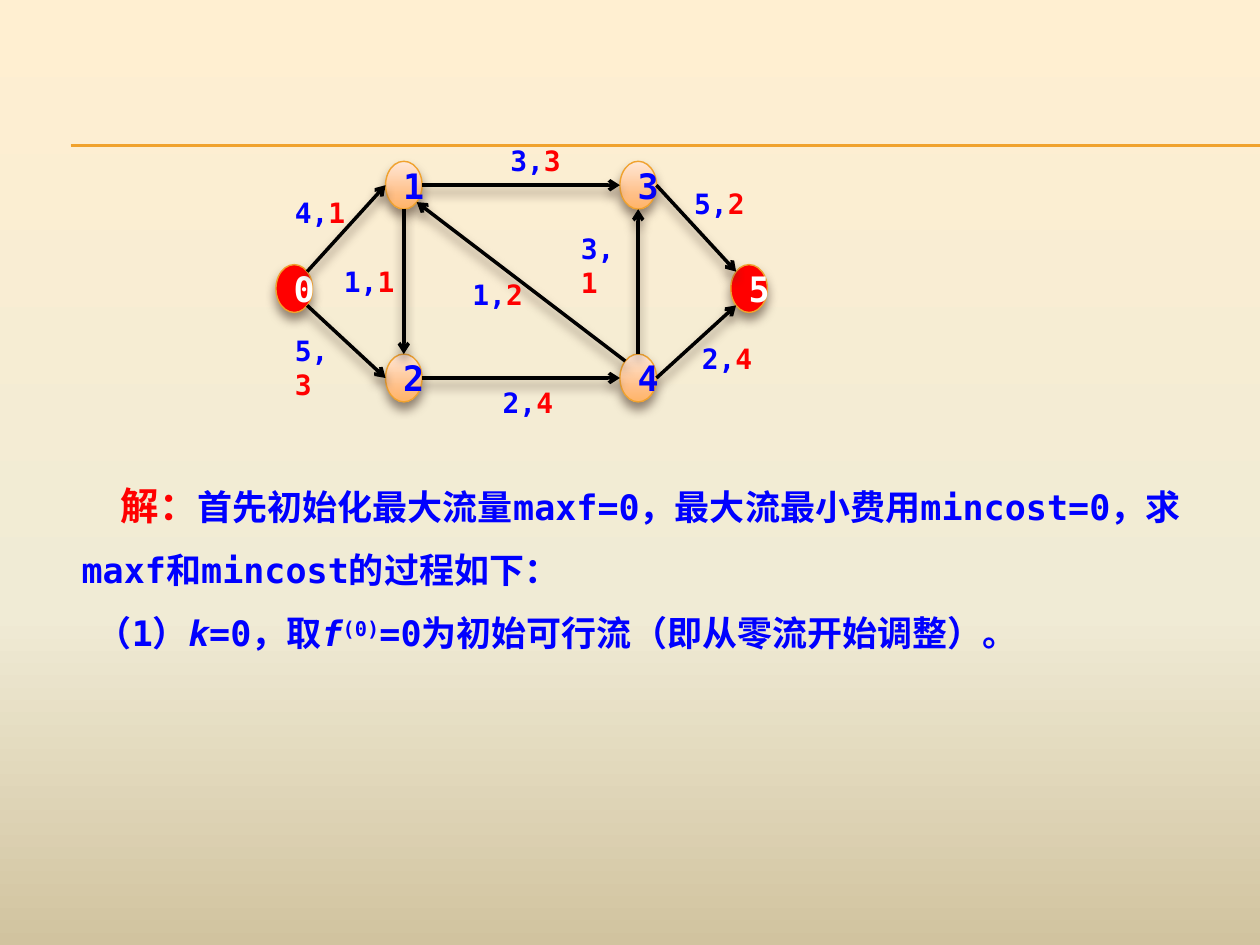
from copy import deepcopy
from dataclasses import dataclass
from math import sqrt

from lxml.etree import SubElement
from pptx import Presentation
from pptx.dml.color import RGBColor
from pptx.enum.lang import MSO_LANGUAGE_ID
from pptx.enum.shapes import MSO_CONNECTOR, MSO_SHAPE
from pptx.enum.text import MSO_ANCHOR, MSO_AUTO_SIZE, PP_ALIGN
from pptx.oxml.ns import qn
from pptx.util import Inches, Pt


@dataclass(frozen=True)
class Theme:
    blue: str = "0000FF"
    red: str = "FF0000"
    white: str = "FFFFFF"
    black: str = "000000"
    accent: str = "F0A22E"
    shadow: str = "4E3B30"
    background: tuple = ((0, "FFEFD1"), (0.65, "F0EBD5"), (1, "D1C39F"))
    node_fill: tuple = ((0, "FFE7D7"), (0.72, "FFBE84"), (1, "FFB468"))
    mono: str = "DejaVu Sans Mono"
    cjk: str = "Noto Sans CJK SC"
    label_size: int = 16
    text_size: int = 20
    lead_size: int = 22


THEME = Theme()
NODE_W, NODE_H = 0.29, 0.38

# Node positions, relative to the network box
NODES = {
    "0": (0, 0.82), "1": (0.87, 0), "2": (0.87, 1.53),
    "3": (2.73, 0), "4": (2.73, 1.53), "5": (3.61, 0.82),
}
# Start node and side, end node and side
EDGES = [
    ("0", "NE", "1", "W"), ("1", "E", "3", "W"), ("0", "SE", "2", "W"),
    ("2", "E", "4", "W"), ("3", "E", "5", "NW"), ("4", "E", "5", "SW"),
    ("1", "S", "2", "N"), ("4", "N", "3", "S"), ("4", "NW", "1", "SE"),
]
# Capacity, cost, and left, top, width relative to the network box
LABELS = [
    (5, 3, 0.15, 1.37, 0.39), (4, 1, 0.15, 0.27, 0.47), (1, 1, 0.54, 0.82, 0.47),
    (2, 4, 1.8, 1.78, 0.54), (2, 4, 3.38, 1.43, 0.53), (5, 2, 3.32, 0.2, 0.58),
    (3, 3, 1.86, -0.14, 0.56), (3, 1, 2.42, 0.56, 0.39), (1, 2, 1.56, 0.92, 0.47),
]


def add_run(p, text, color, size=THEME.text_size, font=THEME.mono):
    r = p.add_run()
    r.text = text
    r.font.size, r.font.bold, r.font.name = Pt(size), True, font
    r.font.color.rgb = RGBColor.from_string(color)
    r.font.language_id = MSO_LANGUAGE_ID.SIMPLIFIED_CHINESE
    SubElement(r.font._element, qn("a:ea"), typeface=THEME.cjk)
    return r


def set_gradient(fill, element, stops):
    """Fill from top to bottom with three stops; element holds the fill."""
    fill.gradient()
    fill.gradient_angle = 270
    gs_list = next(element.iter(qn("a:gsLst")))
    gs_list.append(deepcopy(gs_list[-1]))
    for stop, (position, color) in zip(fill.gradient_stops, stops):
        stop.position = position
        stop.color.rgb = RGBColor.from_string(color)


def set_shadow(sp, visible=True):
    """Give a soft shadow below, or none; call after the line is set."""
    effects = SubElement(sp._element.spPr, qn("a:effectLst"))
    if visible:
        outer = SubElement(effects, qn("a:outerShdw"), blurRad=str(Pt(6)),
                           dist=str(Pt(4)), dir="5400000", rotWithShape="0")
        color = SubElement(outer, qn("a:srgbClr"), val=THEME.shadow)
        SubElement(color, qn("a:alpha"), val="60000")


def add_line(shapes, start, end, color, width, arrow=False):
    points = [Inches(v) for v in (*start, *end)]
    line = shapes.add_connector(MSO_CONNECTOR.STRAIGHT, *points)
    line.line.color.rgb = RGBColor.from_string(color)
    line.line.width = Pt(width)
    if arrow:
        SubElement(line._element.spPr.find(qn("a:ln")), qn("a:tailEnd"), type="arrow")
    set_shadow(line, visible=arrow)


def add_node(shapes, name, left, top):
    sp = shapes.add_shape(MSO_SHAPE.OVAL, Inches(left), Inches(top),
                          Inches(NODE_W), Inches(NODE_H))
    terminal = name in ("0", "5")
    if terminal:
        sp.fill.solid()
        sp.fill.fore_color.rgb = RGBColor.from_string(THEME.red)
    else:
        set_gradient(sp.fill, sp._element, THEME.node_fill)
    sp.line.color.rgb = RGBColor.from_string(THEME.accent)
    sp.line.width = Pt(0.79)
    set_shadow(sp)
    tf = sp.text_frame
    tf.vertical_anchor = MSO_ANCHOR.MIDDLE
    p = tf.paragraphs[0]
    p.alignment = PP_ALIGN.CENTER
    add_run(p, name, THEME.white if terminal else THEME.blue)


def add_label(shapes, capacity, cost, left, top, width):
    tf = shapes.add_textbox(Inches(left), Inches(top), Inches(width), Inches(0.27)).text_frame
    tf.word_wrap = True
    tf.auto_size = MSO_AUTO_SIZE.SHAPE_TO_FIT_TEXT
    tf.margin_left = tf.margin_right = tf.margin_top = tf.margin_bottom = 0
    p = tf.paragraphs[0]
    add_run(p, f"{capacity},", THEME.blue, THEME.label_size)
    add_run(p, str(cost), THEME.red, THEME.label_size)


def node_side(name, side):
    """Point on a node's rim in a compass direction, relative to the box."""
    left, top = NODES[name]
    dx = ("E" in side) - ("W" in side)
    dy = ("S" in side) - ("N" in side)
    reach = 0.5 / sqrt(len(side))
    return left + NODE_W * (0.5 + dx * reach), top + NODE_H * (0.5 + dy * reach)


def add_network(s, left, top):
    shapes = s.shapes.add_group_shape().shapes
    for name, (x, y) in NODES.items():
        add_node(shapes, name, left + x, top + y)
    for start, start_side, end, end_side in EDGES:
        (x1, y1), (x2, y2) = node_side(start, start_side), node_side(end, end_side)
        add_line(shapes, (left + x1, top + y1), (left + x2, top + y2),
                 THEME.black, 2, arrow=True)
    for capacity, cost, x, y, width in LABELS:
        add_label(shapes, capacity, cost, left + x, top + y, width)


def add_solution(s, left, top, width, height):
    tf = s.shapes.add_textbox(*(Inches(v) for v in (left, top, width, height))).text_frame
    tf.word_wrap = True
    tf.auto_size = MSO_AUTO_SIZE.SHAPE_TO_FIT_TEXT
    intro, step = tf.paragraphs[0], tf.add_paragraph()
    for p, indent in ((intro, 0.31), (step, 0.12)):
        p.line_spacing = 1.5
        p._p.get_or_add_pPr().set("indent", str(Inches(indent)))
    add_run(intro, "解：", THEME.red, THEME.lead_size, THEME.cjk)
    add_run(intro, "首先初始化最大流量maxf=0，最大流最小费用mincost=0，"
                   "求maxf和mincost的过程如下：", THEME.blue)
    add_run(step, "（1）", THEME.blue)
    add_run(step, "k", THEME.blue).font.italic = True
    add_run(step, "=0，取", THEME.blue)
    add_run(step, "f", THEME.blue).font.italic = True
    add_run(step, "(0)", THEME.blue).font._element.set("baseline", "30000")
    add_run(step, "=0为初始可行流（即从零流开始调整）。", THEME.blue)


def add_backdrop(s):
    set_gradient(s.background.fill, s._element, THEME.background)
    for y in (1.15, 1.16):
        add_line(s.shapes, (0.56, y), (10, y), THEME.accent, 0.75)


def main():
    prs = Presentation()
    prs.slide_width, prs.slide_height = Inches(10), Inches(7.5)
    s = prs.slides.add_slide(prs.slide_layouts[6])
    add_backdrop(s)
    add_solution(s, 0.55, 3.59, 9.06, 1.67)
    add_network(s, 2.19, 1.28)
    prs.save("out.pptx")


if __name__ == "__main__":
    main()
